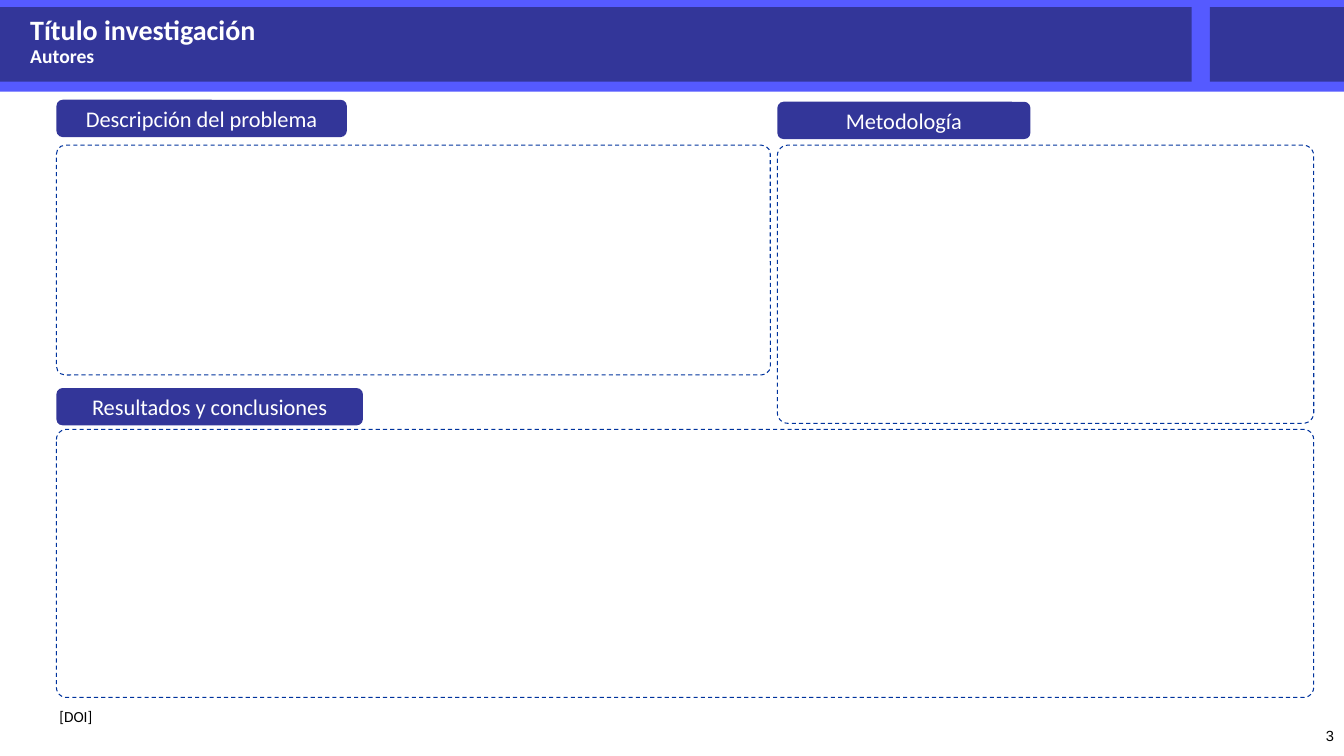
from pptx import Presentation
from pptx.dml.color import RGBColor
from pptx.enum.dml import MSO_LINE
from pptx.enum.shapes import MSO_SHAPE
from pptx.enum.text import MSO_ANCHOR, MSO_AUTO_SIZE, PP_ALIGN
from pptx.oxml.ns import qn
from pptx.util import Inches, Pt

RECT, ROUNDED = MSO_SHAPE.RECTANGLE, MSO_SHAPE.ROUNDED_RECTANGLE
LEFT, CENTER, RIGHT = PP_ALIGN.LEFT, PP_ALIGN.CENTER, PP_ALIGN.RIGHT
TOP, MIDDLE = MSO_ANCHOR.TOP, MSO_ANCHOR.MIDDLE
NO_FIT, GROW = MSO_AUTO_SIZE.NONE, MSO_AUTO_SIZE.SHAPE_TO_FIT_TEXT
DASH = MSO_LINE.DASH

WIDTH, HEIGHT = 13.33, 7.5
NAVY, VIOLET, BLUE = "333699", "555AFF", "00339D"
WHITE, BLACK = "FFFFFF", "000000"

COLUMN_LEFT = (0.56, 7.71)
COLUMN_RIGHT = (7.64, 13.03)
LABEL_HEIGHT = 0.37

# (label, label width, label top, first column, last column, panel top, panel bottom)
SECTIONS = (
    ("Descripción del problema", 2.88, 0.99, 0, 0, 1.44, 3.72),
    ("Resultados y conclusiones", 3.04, 3.85, 0, 1, 4.26, 6.92),
    ("Metodología", 2.51, 1.01, 1, 1, 1.44, 4.2),
)


def color(value):
    return RGBColor.from_string(value)


def apply(target, values):
    for name, value in values.items():
        setattr(target, name, value)


def place(box, left, top, width, height):
    apply(box, {"left": Inches(left), "top": Inches(top),
                "width": Inches(width), "height": Inches(height)})


def write(box, text, size, ink, align=LEFT, anchor=TOP, bold=False,
          font="Calibri", fit=NO_FIT):
    frame = box.text_frame
    apply(frame, {"word_wrap": True, "auto_size": fit, "vertical_anchor": anchor})
    para = frame.paragraphs[0]
    apply(para, {"alignment": align, "space_before": Pt(0)})
    span = para.add_run()
    span.text = text
    apply(span.font, {"name": font, "size": Pt(size), "bold": bold})
    span.font.color.rgb = color(ink)
    return para


def add_block(page, kind, bounds, fill):
    box = page.shapes.add_shape(kind, *map(Inches, bounds))
    box.shadow.inherit = False
    box.fill.solid()
    box.fill.fore_color.rgb = color(fill)
    box.line.fill.background()
    return box


def add_panel(page, bounds):
    box = page.shapes.add_shape(ROUNDED, *map(Inches, bounds))
    box.shadow.inherit = False
    box.adjustments[0] = 0.038
    box.fill.background()
    box.line.color.rgb = color(BLUE)
    apply(box.line, {"width": Pt(0.75), "dash_style": DASH})


def add_section(page, label, label_width, label_top, first, last, top, bottom):
    left = COLUMN_LEFT[first]
    add_panel(page, (left, top, COLUMN_RIGHT[last] - left, bottom - top))
    tag = add_block(page, ROUNDED, (left, label_top, label_width, LABEL_HEIGHT), NAVY)
    write(tag, label, 16, WHITE, CENTER, MIDDLE)


def add_note(page, bounds, text, size, **style):
    box = page.shapes.add_textbox(*map(Inches, bounds))
    write(box, text, size, BLACK, **style)


def fill_placeholder(box, bounds, text, size):
    place(box, *bounds)
    para = write(box, text, size, WHITE, bold=True)
    properties = para._p.get_or_add_pPr()
    apply_indent = {"marL": "0", "indent": "0"}
    for name, value in apply_indent.items():
        properties.set(name, value)
    properties.append(properties.makeelement(qn("a:buNone"), {}))
    box.element.getparent().append(box.element)


def add_header(page):
    add_block(page, RECT, (0, 0, WIDTH, 0.91), VIOLET)
    for left, right in ((0, 11.82), (12, WIDTH)):
        add_block(page, RECT, (left, 0.07, right - left, 0.74), NAVY)
    fill_placeholder(page.placeholders[1], (0.2, 0.39, 7.45, 0.38), "Autores", 14)
    fill_placeholder(page.shapes.title, (0.2, 0.07, 7.36, 0.38),
                     "Título investigación", 20)


def main():
    deck = Presentation()
    apply(deck, {"slide_width": Inches(WIDTH), "slide_height": Inches(HEIGHT)})
    page = deck.slides.add_slide(deck.slide_layouts[1])
    add_header(page)
    for section in SECTIONS:
        add_section(page, *section)
    add_note(page, (0.49, 6.97, 2.47, 0.29), "[DOI]", 11, fit=GROW)
    add_note(page, (WIDTH - 3.11, HEIGHT - 0.4, 3.11, 0.4), "3", 10.5,
             align=RIGHT, anchor=MIDDLE, font="Arial")
    deck.save("out.pptx")


if __name__ == "__main__":
    main()
